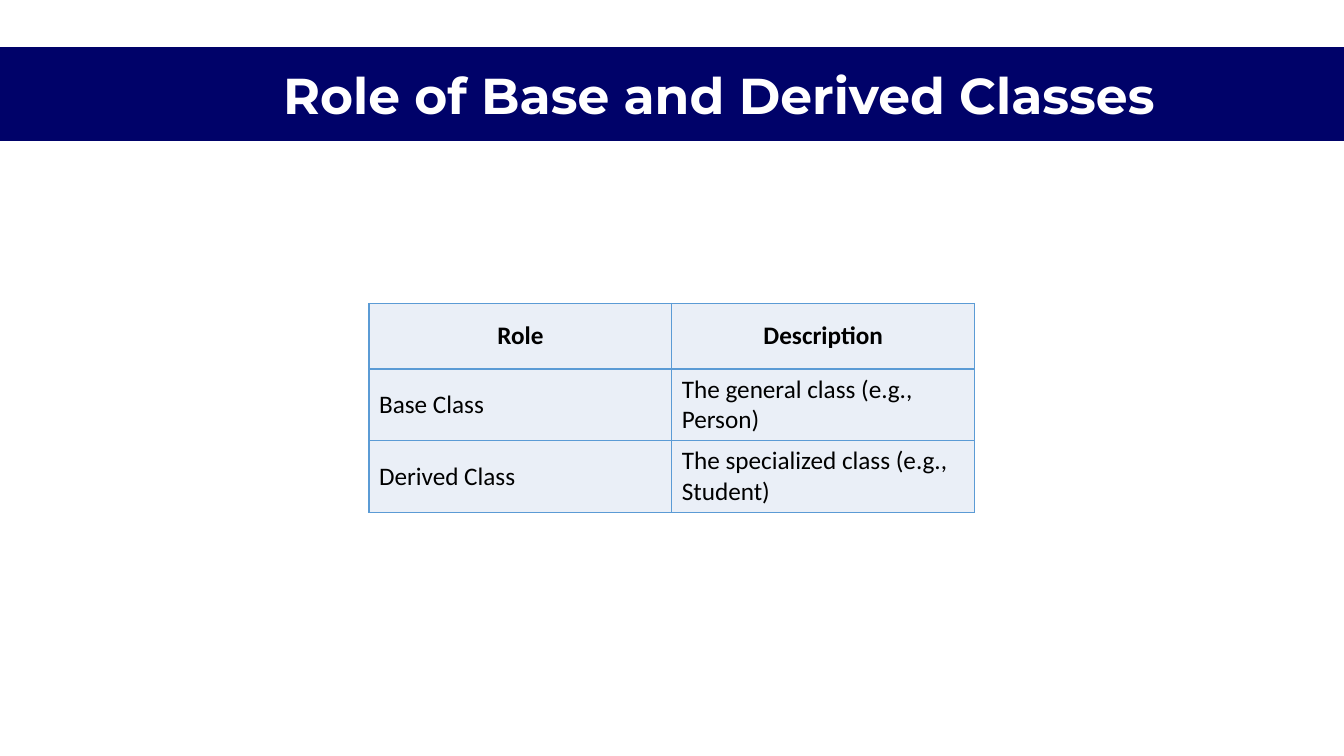
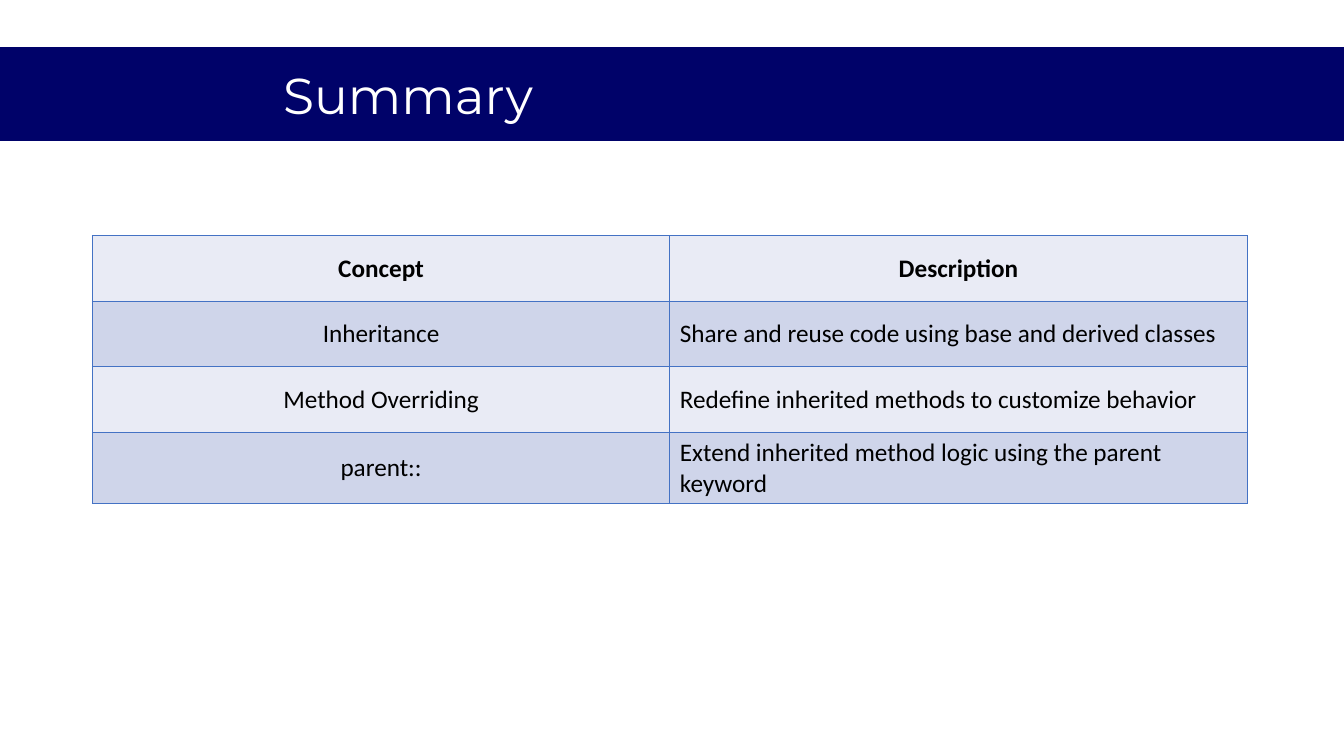
from lxml.etree import SubElement
from pptx import Presentation
from pptx.dml.color import RGBColor
from pptx.enum.shapes import MSO_SHAPE
from pptx.enum.text import MSO_ANCHOR, MSO_AUTO_SIZE, PP_ALIGN
from pptx.oxml.ns import qn
from pptx.util import Cm, Pt

NAVY, WHITE, BLACK = "000269", "FFFFFF", "000000"
SLIDE_W, SLIDE_H = 33.87, 19.05
BAND_BOX = (-0.1, 1.19, SLIDE_W + 0.1, 2.36)
ROW_H = 1.65


def rgb(value):
    return RGBColor.from_string(value)


def style_font(p, name, size, color, bold):
    p.font.name, p.font.size, p.font.bold = name, Pt(size), bold
    p.font.color.rgb = rgb(color)


def add_title_band(s, box, text, bold):
    x, y, w, h = box
    band = s.shapes.add_shape(MSO_SHAPE.RECTANGLE, Cm(x), Cm(y), Cm(w), Cm(h))
    band.shadow.inherit = False
    band.fill.solid()
    band.fill.fore_color.rgb = rgb(NAVY)
    band.line.fill.background()

    title = s.shapes.title
    band.element.addnext(title.element)
    title.left, title.top = Cm(x + 6.98), Cm(y + 0.28)
    title.width, title.height = Cm(w - 7.35), Cm(h - 0.56)
    tf = title.text_frame
    tf.text = text
    tf.auto_size = MSO_AUTO_SIZE.NONE
    tf.vertical_anchor = MSO_ANCHOR.MIDDLE
    p = tf.paragraphs[0]
    p.alignment = PP_ALIGN.LEFT
    style_font(p, "Montserrat", 36, WHITE, bold)


def set_borders(cell, color):
    tc_pr = cell._tc.get_or_add_tcPr()
    for i, side in enumerate(("lnL", "lnR", "lnT", "lnB")):
        ln = SubElement(tc_pr, qn(f"a:{side}"), w=str(Pt(1)))
        fill = SubElement(ln, qn("a:solidFill"))
        SubElement(fill, qn("a:srgbClr"), val=color)
        tc_pr.insert(i, ln)


def add_grid(s, box, rows, fills, border, first_col_align):
    x, y, w = box
    n_cols = len(rows[0])
    table = s.shapes.add_table(len(rows), n_cols, Cm(x), Cm(y), Cm(w),
                               Cm(ROW_H * len(rows))).table
    table.first_row = table.horz_banding = False
    for col in table.columns:
        col.width = Cm(w / n_cols)
    for r, texts in enumerate(rows):
        table.rows[r].height = Cm(ROW_H)
        for c, text in enumerate(texts):
            cell = table.cell(r, c)
            cell.text = text
            cell.vertical_anchor = MSO_ANCHOR.MIDDLE
            cell.fill.solid()
            cell.fill.fore_color.rgb = rgb(fills[r % len(fills)])
            set_borders(cell, border)
            p = cell.text_frame.paragraphs[0]
            if r == 0:
                p.alignment = PP_ALIGN.CENTER
            else:
                p.alignment = first_col_align if c == 0 else PP_ALIGN.LEFT
            style_font(p, "Calibri", 18, BLACK, r == 0)


def add_table_slide(prs, title, bold, *grid):
    s = prs.slides.add_slide(prs.slide_layouts[5])
    add_title_band(s, BAND_BOX, title, bold)
    add_grid(s, *grid)


def main():
    prs = Presentation()
    prs.slide_width, prs.slide_height = Cm(SLIDE_W), Cm(SLIDE_H)
    add_table_slide(
        prs, "Role of Base and Derived Classes", True, (9.3, 7.65, 15.26),
        [("Role", "Description"),
         ("Base Class", "The general class (e.g., Person)"),
         ("Derived Class", "The specialized class (e.g., Student)")],
        ["EAEFF7"], "5B9BD5", PP_ALIGN.LEFT)
    add_table_slide(
        prs, "Summary", False, (2.33, 5.94, 29.1),
        [("Concept", "Description"),
         ("Inheritance", "Share and reuse code using base and derived classes"),
         ("Method Overriding", "Redefine inherited methods to customize behavior"),
         ("parent::", "Extend inherited method logic using the parent keyword")],
        ["E9EBF5", "CFD5EA"], "4472C4", PP_ALIGN.CENTER)
    prs.save("out.pptx")


if __name__ == "__main__":
    main()
